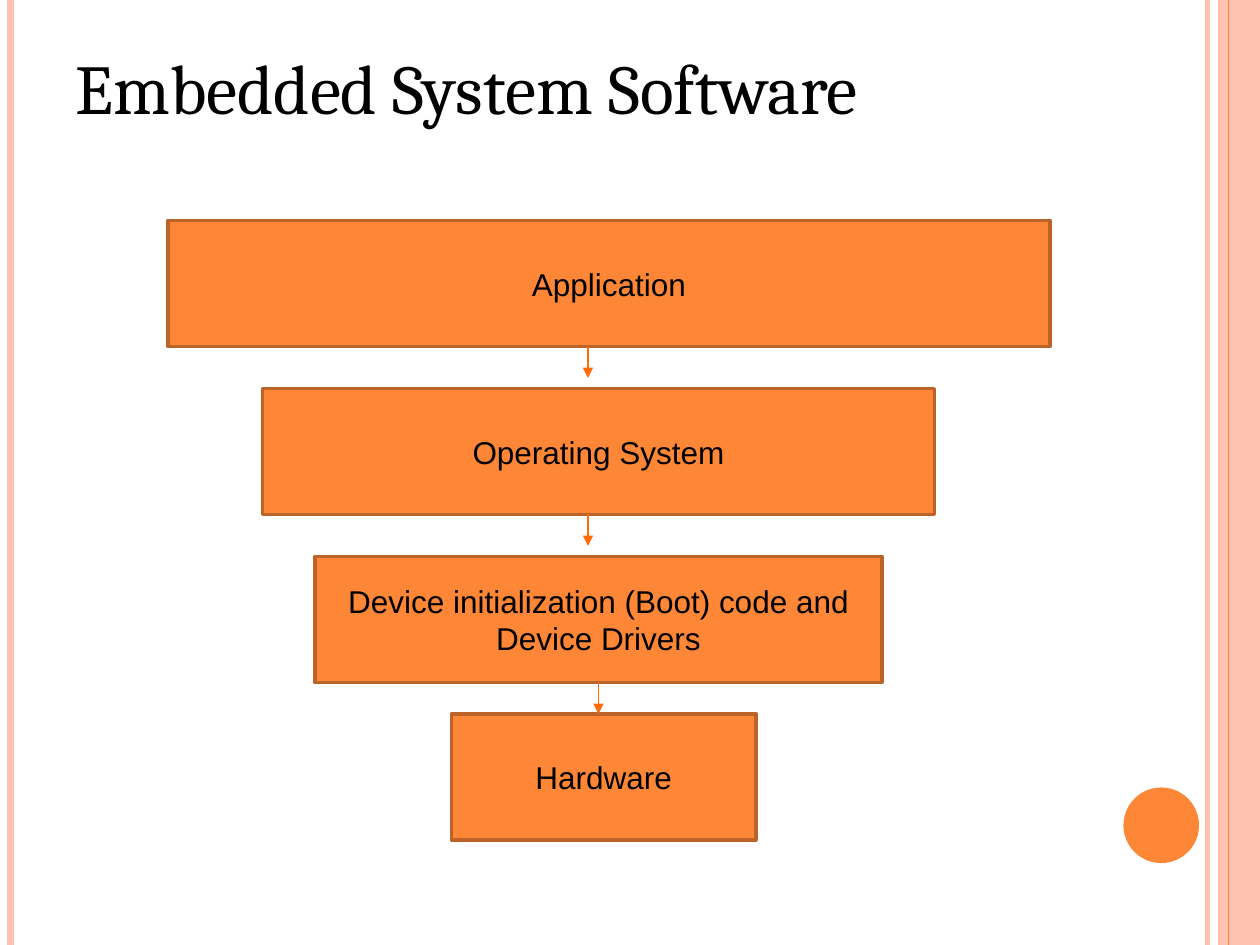
import dataclasses

import pptx
import pptx.dml.color
import pptx.enum.shapes
import pptx.enum.text
import pptx.oxml.ns
import pptx.util
from lxml import etree

COLUMNS, ROWS = 120, 90  # grid of 1/12 inch cells
CELL = 1 / 12
ORANGE, PEACH, BROWN, ARROW = "FE8637", "FEC2AE", "BB6328", "FF6A09"
RECTANGLE = pptx.enum.shapes.MSO_SHAPE.RECTANGLE
OVAL = pptx.enum.shapes.MSO_SHAPE.OVAL


@dataclasses.dataclass
class Layer:
    label: str
    column: int
    row: int
    columns: int
    arrow_column: int = 0  # 0: no arrow below
    rows: int = 12


@dataclasses.dataclass
class Stripe:
    column: int
    color: str
    width: float


LAYERS = [
    Layer("Application", 16, 21, 84, 56),
    Layer("Operating System", 25, 37, 64, 56),
    Layer("Device initialization (Boot) code and Device Drivers", 30, 53, 54, 57),
    Layer("Hardware", 43, 68, 29),
]
ARROW_ROWS = 3
EDGE_STRIPES = [Stripe(115, PEACH, 3), Stripe(1, PEACH, 4.5)]
BAND_STRIPE = Stripe(117, ORANGE, 0.75)


def cells(count: float) -> int:
    return pptx.util.Inches(count * CELL)


def rgb(value: str) -> pptx.dml.color.RGBColor:
    return pptx.dml.color.RGBColor.from_string(value)


def write(shape, text: str, *, font: str, size: float, align: str, anchor: str) -> None:
    frame = shape.text_frame
    frame.word_wrap = True
    frame.auto_size = pptx.enum.text.MSO_AUTO_SIZE.NONE
    frame.margin_left = frame.margin_right = pptx.util.Inches(0.1)
    frame.margin_top = frame.margin_bottom = pptx.util.Inches(0.05)
    frame.vertical_anchor = pptx.enum.text.MSO_ANCHOR[anchor]
    paragraph = frame.paragraphs[0]
    paragraph.alignment = pptx.enum.text.PP_ALIGN[align]
    run = paragraph.add_run()
    run.text = text
    run.font.name = font
    run.font.size = pptx.util.Pt(size)
    run.font.color.rgb = rgb("000000")


def add_block(slide, kind, column: float, row: float, columns: float, rows: float,
              fill: str, outline: str = ""):
    block = slide.shapes.add_shape(kind, cells(column), cells(row), cells(columns), cells(rows))
    block.shadow.inherit = False
    block.fill.solid()
    block.fill.fore_color.rgb = rgb(fill)
    if outline:
        block.line.color.rgb = rgb(outline)
        block.line.width = pptx.util.Pt(2)
    else:
        block.line.fill.background()
    return block


def add_line(slide, column: float, top: float, bottom: float, color: str, width: float,
             arrow: bool = False) -> None:
    line = slide.shapes.add_connector(
        pptx.enum.shapes.MSO_CONNECTOR.STRAIGHT,
        cells(column), cells(top), cells(column), cells(bottom))
    line.line.color.rgb = rgb(color)
    line.line.width = pptx.util.Pt(width)
    if arrow:
        outline = line.line._get_or_add_ln()
        etree.SubElement(outline, pptx.oxml.ns.qn("a:tailEnd"), type="triangle")
    etree.SubElement(line._element.spPr, pptx.oxml.ns.qn("a:effectLst"))


def add_stripe(slide, stripe: Stripe) -> None:
    add_line(slide, stripe.column, 0, ROWS, stripe.color, stripe.width)


def add_layer(slide, layer: Layer) -> None:
    block = add_block(slide, RECTANGLE, layer.column, layer.row,
                      layer.columns, layer.rows, ORANGE, BROWN)
    write(block, layer.label, font="Arial", size=18, align="CENTER", anchor="MIDDLE")


presentation = pptx.Presentation()
presentation.slide_width = cells(COLUMNS)
presentation.slide_height = cells(ROWS)
slide = presentation.slides.add_slide(presentation.slide_layouts.get_by_name("Title Only"))

# Side decoration
for edge in EDGE_STRIPES:
    add_stripe(slide, edge)
add_block(slide, RECTANGLE, 116, 0, COLUMNS - 116, ROWS, PEACH)
add_stripe(slide, BAND_STRIPE)
add_block(slide, OVAL, 107, 75, 7.2, 7.2, ORANGE)

# Title
title = slide.shapes.title
title.left, title.top = cells(6), cells(3.6)
title.width, title.height = cells(98), cells(15)
write(title, "Embedded System Software", font="Cambria", size=40, align="LEFT", anchor="TOP")

# Software layers, then the arrows between them
for layer in LAYERS:
    add_layer(slide, layer)
for layer in LAYERS:
    if layer.arrow_column:
        foot = layer.row + layer.rows
        add_line(slide, layer.arrow_column, foot, foot + ARROW_ROWS, ARROW, 1, arrow=True)

presentation.save("out.pptx")
